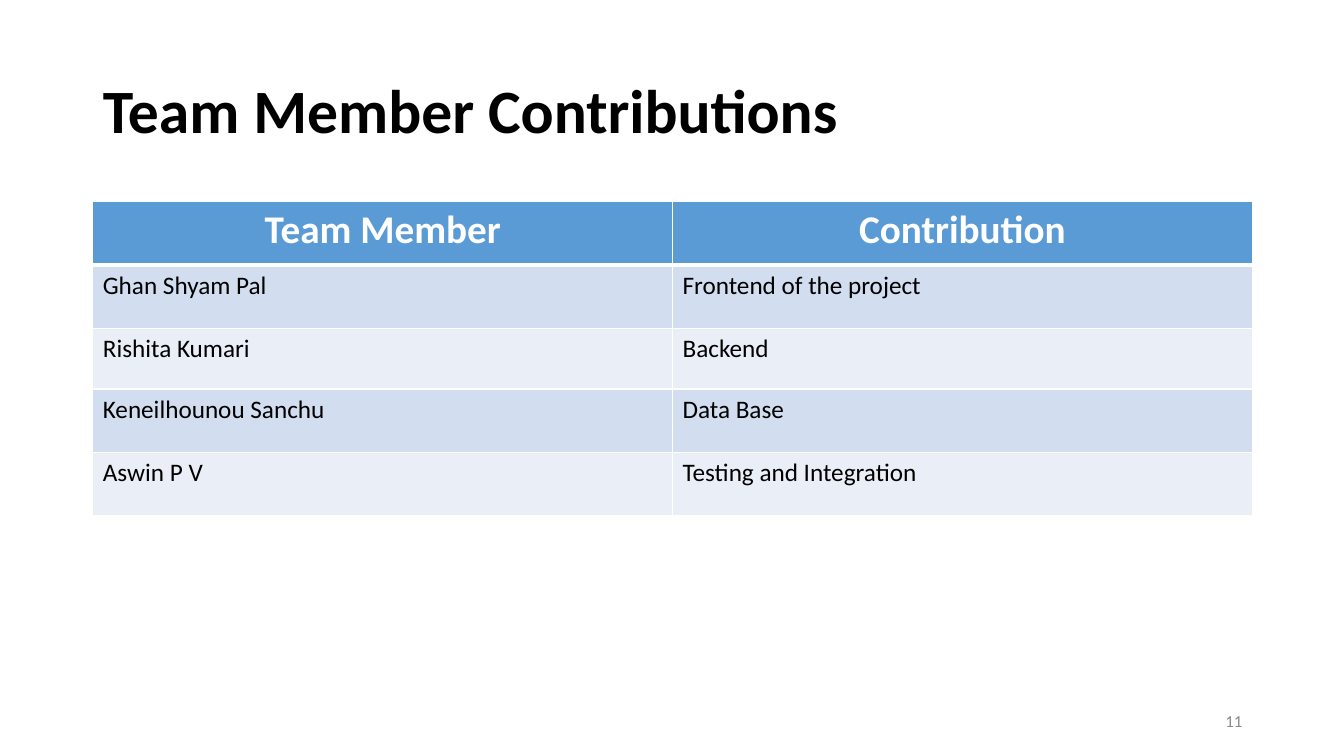
from typing import NamedTuple

from lxml.etree import SubElement as Sub
from pptx import Presentation
from pptx.dml.color import RGBColor as RGB
from pptx.enum.text import MSO_ANCHOR as Anchor, MSO_AUTO_SIZE as Fit, PP_ALIGN as Align
from pptx.oxml.ns import qn
from pptx.util import Inches, Pt

WHITE = RGB(0xFF, 0xFF, 0xFF)
BLACK = RGB(0x00, 0x00, 0x00)
GREY = RGB(0x89, 0x89, 0x89)
BLUE = RGB(0x5B, 0x9B, 0xD5)
BANDS = (RGB(0xD2, 0xDE, 0xEF), RGB(0xEA, 0xEF, 0xF7))

WIDE, HIGH = Inches(13.33), Inches(7.5)
LEFT, SPAN = Inches(0.92), Inches(11.5)
ROWS = (0.63, 0.63, 0.6, 0.63, 0.63)


class Style(NamedTuple):
    size: int
    color: RGB
    bold: bool = False
    align: Align = Align.LEFT


class Member(NamedTuple):
    name: str
    task: str


TITLE = Style(44, BLACK, True)
HEAD = Style(28, WHITE, True, Align.CENTER)
BODY = Style(18, BLACK)
PAGE = Style(12, GREY, align=Align.RIGHT)

TEAM = (
    Member("Team Member", "Contribution"),
    Member("Ghan Shyam Pal", "Frontend of the project"),
    Member("Rishita Kumari", "Backend"),
    Member("Keneilhounou Sanchu", "Data Base"),
    Member("Aswin P V", "Testing and Integration"),
)


def write(frame, text: str, style: Style) -> None:
    frame.text = text
    para = frame.paragraphs[0]
    para.alignment = style.align
    font = para.runs[0].font
    font.name, font.size, font.bold = "Calibri", Pt(style.size), style.bold
    font.color.rgb = style.color


def edge(cell, base: int) -> None:
    """Draw white borders, the bottom one `base` points wide."""
    props = cell._tc.get_or_add_tcPr()
    for side, width in (("L", 1), ("R", 1), ("T", 1), ("B", base)):
        line = Sub(props, qn(f"a:ln{side}"), w=str(Pt(width)))
        Sub(Sub(line, qn("a:solidFill")), qn("a:srgbClr"), val=str(WHITE))


def main() -> None:
    deck = Presentation()
    deck.slide_width, deck.slide_height = WIDE, HIGH
    slide = deck.slides.add_slide(deck.slide_layouts[5])

    # Title
    title = slide.shapes.title
    title.left, title.top, title.width, title.height = LEFT, Inches(0.4), SPAN, Inches(1.45)
    frame = title.text_frame
    write(frame, "Team Member Contributions", TITLE)
    frame.auto_size, frame.vertical_anchor = Fit.NONE, Anchor.MIDDLE
    frame.paragraphs[0].line_spacing = 0.9

    # Table of members and their tasks
    table = slide.shapes.add_table(
        len(TEAM), 2, LEFT, Inches(2), SPAN, Inches(sum(ROWS))).table
    for row, (member, tall) in enumerate(zip(TEAM, ROWS)):
        table.rows[row].height = Inches(tall)
        for col, text in enumerate(member):
            cell = table.cell(row, col)
            write(cell.text_frame, text, BODY if row else HEAD)
            # Line below the head and line above the first member match
            edge(cell, 1 if row else 3)
            cell.fill.solid()
            cell.fill.fore_color.rgb = BANDS[(row - 1) % 2] if row else BLUE

    # Page number
    wide = Inches(3)
    box = slide.shapes.add_textbox(LEFT + SPAN - wide, Inches(6.95), wide, Inches(0.4))
    box.text_frame.word_wrap = True
    box.text_frame.vertical_anchor = Anchor.MIDDLE
    write(box.text_frame, "11", PAGE)

    deck.save("out.pptx")


if __name__ == "__main__":
    main()
